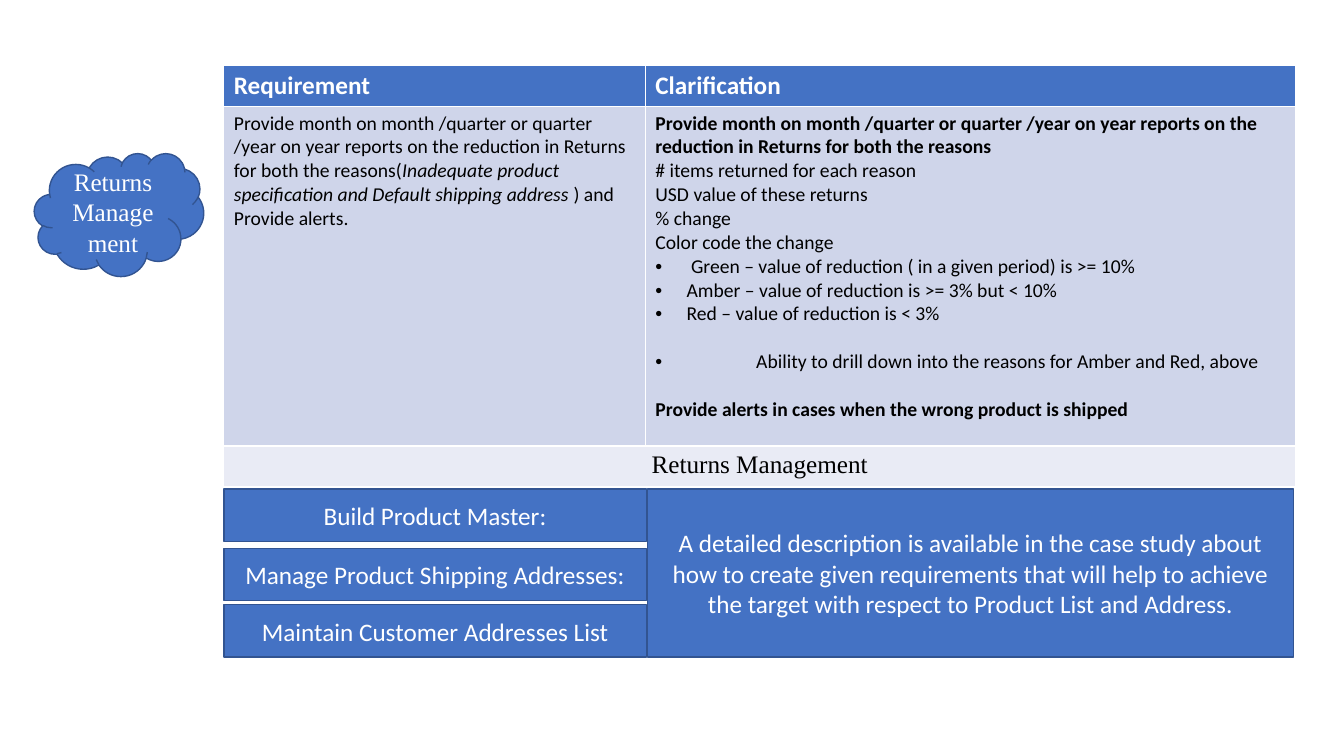
from dataclasses import dataclass

from lxml import etree
from pptx import Presentation
from pptx.dml.color import RGBColor
from pptx.enum import shapes, text
from pptx.oxml import ns
from pptx.util import Inches, Pt

BLUE = RGBColor(0x44, 0x72, 0xC4)
OUTLINE = RGBColor(0x32, 0x54, 0x91)
WHITE = RGBColor(0xFF, 0xFF, 0xFF)
BLACK = RGBColor(0, 0, 0)
BODY_FILL = RGBColor(0xCF, 0xD5, 0xEA)
BAND_FILL = RGBColor(0xE9, 0xEB, 0xF5)
SANS = "Calibri"
SERIF = "Times New Roman"
CENTER = text.PP_ALIGN.CENTER
RECTANGLE = shapes.MSO_SHAPE.RECTANGLE


@dataclass(frozen=True)
class Box:
    label: str
    left: float
    top: float
    width: float
    height: float
    kind: shapes.MSO_SHAPE = RECTANGLE
    font: str = SANS


@dataclass(frozen=True)
class Line:
    words: str
    size: int = 14
    bold: bool = False
    color: RGBColor = BLACK
    font: str = SANS
    centered: bool = False
    indent: float = 0
    space_before: int = 0
    italic_words: str = ""
    ending: str = ""


BOXES = [
    Box("Returns Management", 0.34, 1.52, 1.68, 1.22, shapes.MSO_SHAPE.CLOUD, SERIF),
    Box("Build Product Master:", 2.22, 4.85, 4.19, 0.52),
    Box("Manage Product Shipping Addresses:", 2.22, 5.44, 4.19, 0.52),
    Box("Maintain Customer Addresses List", 2.22, 6, 4.19, 0.52),
    Box(
        "A detailed description is available in the case study about how to create "
        "given requirements that will help to achieve the target with respect to "
        "Product List and Address.",
        6.42, 4.85, 6.41, 1.67,
    ),
]

REPORTS = (
    "Provide month on month /quarter or quarter /year on year reports "
    "on the reduction in Returns for both the reasons"
)
REQUIREMENT = [
    Line(
        REPORTS + "(",
        italic_words="Inadequate product specification and Default shipping address ",
        ending=") and Provide alerts.",
    )
]
CLARIFICATION = [
    Line(REPORTS, bold=True),
    Line("# items returned for each reason"),
    Line("USD value of these returns"),
    Line("% change"),
    Line("Color code the change"),
    Line(" Green – value of reduction ( in a given period) is >= 10%", indent=0.31),
    Line("Amber – value of reduction is >= 3% but < 10%", indent=0.31),
    Line("Red – value of reduction is < 3%", indent=0.31),
    Line(
        "Ability to drill down into the reasons for Amber and Red, above",
        indent=1, space_before=17,
    ),
    Line(
        "Provide alerts in cases when the wrong product is shipped",
        bold=True, space_before=17,
    ),
]
COLUMN_WIDTHS = [4.18, 6.45]
ROW_HEIGHTS = [0.4, 3.37, 0.4]


def add_bullet(paragraph, indent: float) -> None:
    properties = paragraph._p.get_or_add_pPr()
    properties.set("marL", str(Inches(indent)))
    properties.set("indent", str(-Inches(indent)))
    etree.SubElement(properties, ns.qn("a:buFont")).set("typeface", "Arial")
    etree.SubElement(properties, ns.qn("a:buChar")).set("char", "•")


def write_line(paragraph, line: Line) -> None:
    if line.indent:
        add_bullet(paragraph, line.indent)
    if line.space_before:
        paragraph.space_before = Pt(line.space_before)
    if line.centered:
        paragraph.alignment = CENTER
    paragraph.font.name = line.font
    paragraph.font.size = Pt(line.size)
    paragraph.font.bold = line.bold
    paragraph.font.color.rgb = line.color
    paragraph.add_run().text = line.words
    if line.italic_words:
        italic_run = paragraph.add_run()
        italic_run.text = line.italic_words
        italic_run.font.italic = True
        paragraph.add_run().text = line.ending


def fill_cell(cell, lines: list[Line], color: RGBColor) -> None:
    cell.fill.solid()
    cell.fill.fore_color.rgb = color
    frame = cell.text_frame
    for index, line in enumerate(lines):
        paragraph = frame.add_paragraph() if index else frame.paragraphs[0]
        write_line(paragraph, line)


def add_requirements_table(slide) -> None:
    table = slide.shapes.add_table(
        len(ROW_HEIGHTS), len(COLUMN_WIDTHS), Inches(2.22), Inches(0.65),
        Inches(sum(COLUMN_WIDTHS)), Inches(sum(ROW_HEIGHTS)),
    ).table
    for column, width in zip(table.columns, COLUMN_WIDTHS):
        column.width = Inches(width)
    for row, height in zip(table.rows, ROW_HEIGHTS):
        row.height = Inches(height)
    for index, heading in enumerate(["Requirement", "Clarification"]):
        header = Line(heading, size=18, bold=True, color=WHITE)
        fill_cell(table.cell(0, index), [header], BLUE)
    for index, lines in enumerate([REQUIREMENT, CLARIFICATION]):
        fill_cell(table.cell(1, index), lines, BODY_FILL)
    table.cell(2, 0).merge(table.cell(2, 1))
    band = Line("Returns Management", size=18, font=SERIF, centered=True)
    fill_cell(table.cell(2, 0), [band], BAND_FILL)


def add_box(slide, box: Box) -> None:
    shape = slide.shapes.add_shape(
        box.kind, Inches(box.left), Inches(box.top),
        Inches(box.width), Inches(box.height),
    )
    shape.shadow.inherit = False
    shape.fill.solid()
    shape.fill.fore_color.rgb = BLUE
    shape.line.color.rgb = OUTLINE
    shape.line.width = Pt(1)
    frame = shape.text_frame
    frame.word_wrap = True
    frame.vertical_anchor = text.MSO_ANCHOR.MIDDLE
    label = Line(box.label, size=18, color=WHITE, font=box.font, centered=True)
    write_line(frame.paragraphs[0], label)


def main() -> None:
    presentation = Presentation()
    presentation.slide_width = Inches(13.33)
    presentation.slide_height = Inches(7.5)
    slide = presentation.slides.add_slide(presentation.slide_layouts[6])
    add_requirements_table(slide)
    for box in BOXES:
        add_box(slide, box)
    presentation.save("out.pptx")


if __name__ == "__main__":
    main()
